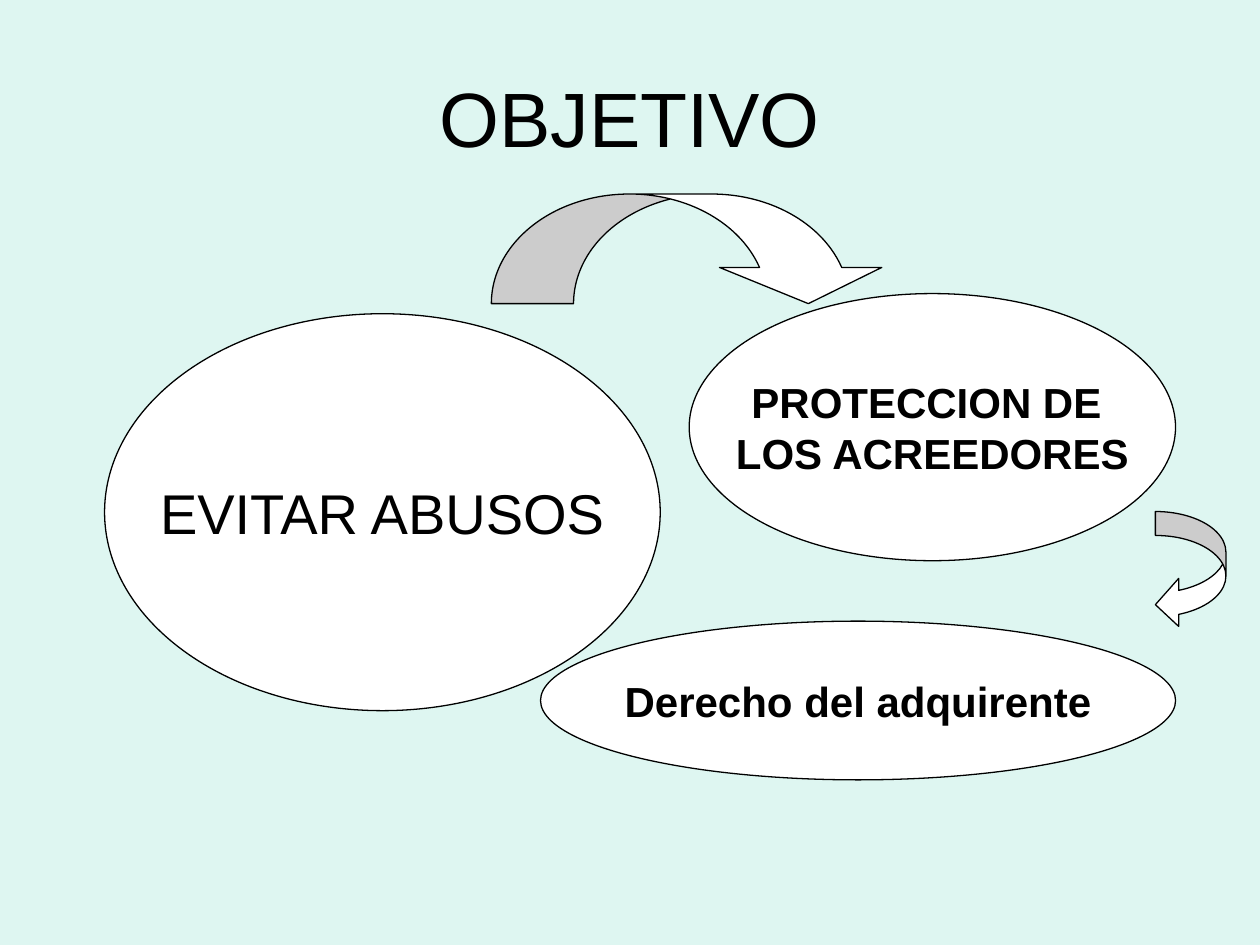
import pptx
import pptx.util
import pptx.dml.color
import pptx.enum.shapes
import pptx.enum.text
from dataclasses import dataclass

Inches = pptx.util.Inches
Kind = pptx.enum.shapes.MSO_SHAPE


@dataclass
class Theme:
    font: str = "Arial"
    back: str = "DEF6F1"
    fill: str = "FFFFFF"
    ink: str = "000000"
    title: int = 44
    large: int = 32
    small: int = 24
    line: float = 0.75


class Deck:
    def __init__(self, theme):
        self.theme = theme
        self.file = pptx.Presentation()
        self.file.slide_width = Inches(10)
        self.file.slide_height = Inches(7.5)
        self.slide = self.file.slides.add_slide(self.file.slide_layouts[6])
        self.paint(self.slide.background.fill, theme.back)

    def paint(self, fill, color):
        fill.solid()
        fill.fore_color.rgb = pptx.dml.color.RGBColor.from_string(color)

    def label(self, shape, lines, size, bold=False, wrap=False):
        frame = shape.text_frame
        frame.word_wrap = wrap
        frame.vertical_anchor = pptx.enum.text.MSO_ANCHOR.MIDDLE
        frame.text = "\n".join(lines)
        for para in frame.paragraphs:
            para.alignment = pptx.enum.text.PP_ALIGN.CENTER
            para.font.name = self.theme.font
            para.font.size = pptx.util.Pt(size)
            para.font.bold = bold
            self.paint(para.font.fill, self.theme.ink)

    def title(self, box, text):
        shape = self.slide.shapes.add_textbox(*map(Inches, box))
        self.label(shape, [text], self.theme.title, wrap=True)

    def shape(self, kind, box):
        shape = self.slide.shapes.add_shape(kind, *map(Inches, box))
        shape.shadow.inherit = False
        self.paint(shape.fill, self.theme.fill)
        self.paint(shape.line.fill, self.theme.ink)
        shape.line.width = pptx.util.Pt(self.theme.line)
        return shape

    def oval(self, box, lines, size, bold=False):
        self.label(self.shape(Kind.OVAL, box), lines, size, bold)

    def arrow(self, kind, box, bends):
        shape = self.shape(kind, box)
        for spot, bend in enumerate(bends):
            shape.adjustments[spot] = bend


def main():
    theme = Theme()
    deck = Deck(theme)
    deck.title((0.5, 0.3, 9, 1.25), "OBJETIVO")
    deck.oval((0.83, 2.49, 4.41, 3.15), ["EVITAR ABUSOS"], theme.large)
    deck.oval((5.47, 2.33, 3.86, 2.12),
              ["PROTECCION DE ", "LOS ACREEDORES"], theme.small, True)
    deck.oval((4.29, 4.93, 5.04, 1.26),
              ["Derecho del adquirente"], theme.small, True)
    deck.arrow(Kind.CURVED_DOWN_ARROW, (3.9, 1.54, 3.16, 0.87), (0.75, 1.48, 0.33))
    deck.arrow(Kind.CURVED_LEFT_ARROW, (9.17, 4.06, 0.56, 0.93), (0.34, 0.68, 0.33))
    deck.file.save("out.pptx")


if __name__ == "__main__":
    main()
